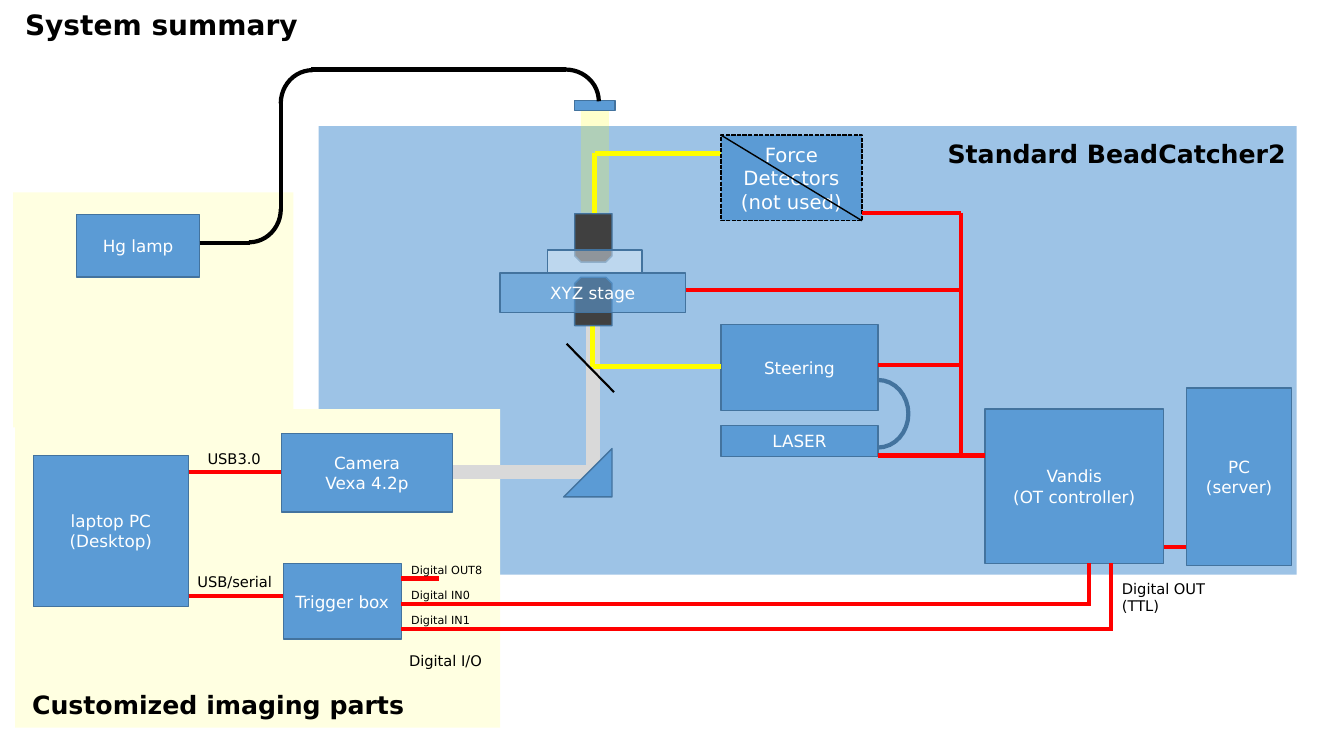
from dataclasses import dataclass
from math import cos, pi, sin

from lxml.etree import SubElement
from pptx import Presentation
from pptx.dml.color import RGBColor
from pptx.enum.dml import MSO_LINE
from pptx.enum.shapes import MSO_CONNECTOR, MSO_SHAPE
from pptx.enum.text import MSO_ANCHOR, MSO_AUTO_SIZE, PP_ALIGN
from pptx.oxml.ns import qn
from pptx.util import Inches, Pt

FONT = "DejaVu Sans"
COLORS = {
    "cream": "FFFFE1", "sky": "9DC3E6", "blue": "5B9BD5", "edge": "43739E",
    "pale": "DEEBF7", "dark": "404040", "gray": "D9D9D9", "black": "000000",
    "white": "FFFFFF", "red": "FF0000", "yellow": "FFFF00",
}


@dataclass
class Box:
    left: float
    top: float
    width: float
    height: float
    text: str = ""
    fill: str | None = "blue"
    edge: str | None = "edge"
    kind: MSO_SHAPE = MSO_SHAPE.RECTANGLE
    turn: int = 0
    alpha: int = 100
    weight: float = 1
    size: float = 12
    dashed: bool = False

    @property
    def right(self) -> float:
        return self.left + self.width

    @property
    def base(self) -> float:
        return self.top + self.height


@dataclass
class Label:
    left: float
    top: float
    width: float
    text: str
    size: float = 10.5
    bold: bool = False

    @property
    def height(self) -> float:
        lines = len(self.text.splitlines())
        return 0.1 + lines * self.size / 60


@dataclass
class Path:
    """Straight segments through the points, one connector each."""
    points: list[tuple[float, float]]
    color: str = "red"
    weight: float = 3
    alpha: int = 100


@dataclass
class Curve:
    """The right half of an ellipse."""
    left: float
    top: float
    width: float
    height: float
    steps: int = 16


def area(left: float, top: float, width: float, height: float, fill: str) -> Box:
    return Box(left, top, width, height, fill=fill, edge=None)


def lens(top: float, turn: int) -> Box:
    return Box(5.7, top, 0.37, 0.48, fill="dark", turn=turn,
               kind=MSO_SHAPE.SNIP_2_SAME_RECTANGLE)


def bend(left: float, top: float, turn: int) -> Box:
    """A quarter turn of the lamp fibre."""
    return Box(left, top, 0.66, 0.63, fill=None, edge="black",
               kind=MSO_SHAPE.ARC, turn=turn, weight=3)


def link(start: Box, end: Box, y: float) -> Path:
    return Path([(start.right, y), (end.left, y)])


def level(left: float, right: float, y: float) -> Path:
    return Path([(left, y), (right, y)], "black")


BUS, AXIS, HEAD, FLOOR = 9.53, 5.88, 5.9, 4.68
vandis = Box(9.77, 4.06, 1.77, 1.53, "Vandis\n(OT controller)")
laser = Box(7.15, 4.22, 1.56, 0.31, "LASER")
steer = Box(laser.left, 3.22, laser.width, 0.85, "Steering")
force = Box(laser.left, 1.34, 1.4, steer.height, "Force Detectors\n(not used)",
            edge="black", size=14, dashed=True)
camera = Box(2.79, 4.3, 1.7, 0.78, "Camera\nVexa 4.2p")
laptop = Box(0.33, 4.52, 1.54, 1.5, "laptop PC\n(Desktop)")
stage = Box(4.96, 2.71, 1.84, 0.39, "XYZ stage", alpha=60)
trigger = Box(2.81, 5.59, 1.17, 0.75, "Trigger box")
lamp = Box(0.76, 2.13, 1.22, 0.62, "Hg lamp")
server = Box(11.77, 3.85, 1.04, 1.76, "PC\n(server)")

PARTS = [
    area(0.13, 1.91, 2.78, 2.33, "cream"),
    area(3.16, 1.25, 9.7, 4.45, "sky"),
    area(0.15, 4.06, 4.81, 3.16, "cream"),
    Path([(AXIS, 3), (AXIS, FLOOR)], "gray", 10),
    vandis, laser, camera, steer, laptop,
    Path([(steer.left, 3.64), (AXIS, 3.64), (AXIS, 3.04)], "yellow", 3.5),
    Path([(5.62, 3.41), (6.09, 3.89)], "black", 1.5),
    lens(2.75, 0),
    stage,
    Path([(6.01, FLOOR), (camera.right, FLOOR)], "gray", 10),
    Curve(laser.right, 3.77, 0.3, 0.67),
    Box(5.59, 4.45, 0.48, 0.48, kind=MSO_SHAPE.RIGHT_TRIANGLE, turn=270),
    lens(2.12, 180),
    Box(5.43, 2.48, 0.94, 0.23, fill="pale", alpha=50),
    Path([(force.left, 1.52), (HEAD, 1.52), (HEAD, 2.11)], "yellow", 3.5),
    Path([(HEAD, 1.1), (HEAD, 2.11)], "yellow", 20, 20),
    Box(5.7, 1, 0.4, 0.1),
    trigger, lamp, force,
    Path([(force.left, force.top), (force.right, force.base)], "black", 1),
    link(laptop, camera, FLOOR),
    link(laptop, trigger, 5.91),
    link(laser, vandis, laptop.top),
    link(vandis, server, 5.43),
    server,
    Path([(BUS, 2.11), (BUS, laptop.top)]),
    level(lamp.right, 2.48, 2.41),
    level(3.08, 5.61, 0.69),
    bend(5.28, 0.69, 0),
    bend(2.77, 0.71, 270),
    bend(2.14, 1.76, 90),
    Path([(camera.left, 1), (camera.left, 2.08)], "black"),
    Label(0.15, 0.02, 2.93, "System summary", 20, True),
    Label(9.3, 1.32, 3.57, "Standard BeadCatcher2", 18, True),
    Label(0.22, 6.79, 3.9, "Customized imaging parts", 18, True),
    Label(1.96, 4.41, 0.75, "USB3.0"),
    Label(1.86, 5.63, 0.97, "USB/serial"),
    Label(3.96, 6.42, 0.97, "Digital I/O"),
    Label(11.03, 5.7, 1.04, "Digital OUT\n(TTL)"),
]
for box, y in ((force, 2.11), (stage, 2.88), (steer, 3.62)):
    PARTS.append(Path([(box.right, y), (BUS, y)]))
for row, (port, end) in enumerate((("OUT8", 4.35), ("IN0", 10.8), ("IN1", 11.02))):
    y = 5.74 + row / 4
    PARTS.append(Path([(trigger.right, y), (end, y)]))
    if row:
        PARTS.append(Path([(end, vandis.base), (end, y + 0.02)]))
    PARTS.append(Label(trigger.right, y - 0.2, 0.51 + len(port) / 10,
                       f"Digital {port}", 8))


def paint(fill, color: str | None) -> None:
    if color is None:
        fill.background()
    else:
        fill.solid()
        fill.fore_color.rgb = RGBColor.from_string(COLORS[color])


def fade(node, alpha: int) -> None:
    """Make the first colour under the node partly clear."""
    if alpha < 100:
        tint = next(node.iter(qn("a:srgbClr")))
        SubElement(tint, qn("a:alpha"), val=str(alpha * 1000))


def write(frame, part: Box | Label, color: str, align: PP_ALIGN) -> None:
    frame.text = part.text
    for line in frame.paragraphs:
        line.alignment = align
        line.font.name = FONT
        line.font.size = Pt(part.size)
        line.font.bold = getattr(part, "bold", False)
        line.font.color.rgb = RGBColor.from_string(COLORS[color])


def place(part: Box | Label) -> list[int]:
    return [Inches(n) for n in (part.left, part.top, part.width, part.height)]


def draw_box(shapes, box: Box) -> None:
    shape = shapes.add_shape(box.kind, *place(box))
    shape.shadow.inherit = False
    shape.rotation = box.turn
    paint(shape.fill, box.fill)
    fade(shape._element.spPr, box.alpha)
    paint(shape.line.fill, box.edge)
    if box.edge:
        shape.line.width = Pt(box.weight)
    if box.dashed:
        shape.line.dash_style = MSO_LINE.SQUARE_DOT
    if box.text:
        shape.text_frame.vertical_anchor = MSO_ANCHOR.MIDDLE
        write(shape.text_frame, box, "white", PP_ALIGN.CENTER)


def draw_label(shapes, label: Label) -> None:
    frame = shapes.add_textbox(*place(label)).text_frame
    frame.word_wrap = False
    frame.auto_size = MSO_AUTO_SIZE.SHAPE_TO_FIT_TEXT
    write(frame, label, "black", PP_ALIGN.LEFT)


def draw_path(shapes, route: Path) -> None:
    for start, end in zip(route.points, route.points[1:]):
        ends = [Inches(n) for n in start + end]
        wire = shapes.add_connector(MSO_CONNECTOR.STRAIGHT, *ends)
        paint(wire.line.fill, route.color)
        wire.line.width = Pt(route.weight)
        fade(wire._element.spPr, route.alpha)
        SubElement(wire._element.spPr, qn("a:effectLst"))


def draw_curve(shapes, curve: Curve) -> None:
    turns = [pi * step / curve.steps for step in range(curve.steps + 1)]
    first, *rest = [(Inches(curve.left + curve.width * sin(turn)),
                     Inches(curve.top + curve.height * (1 - cos(turn)) / 2))
                    for turn in turns]
    pen = shapes.build_freeform(*first)
    pen.add_line_segments(rest, close=False)
    shape = pen.convert_to_shape()
    shape.shadow.inherit = False
    paint(shape.fill, None)
    paint(shape.line.fill, "edge")
    shape.line.width = Pt(3)


def main() -> None:
    deck = Presentation()
    deck.slide_width, deck.slide_height = Inches(13.33), Inches(7.5)
    shapes = deck.slides.add_slide(deck.slide_layouts[6]).shapes
    draw = {Box: draw_box, Label: draw_label, Path: draw_path, Curve: draw_curve}
    for part in PARTS:
        draw[type(part)](shapes, part)
    deck.save("out.pptx")


if __name__ == "__main__":
    main()
